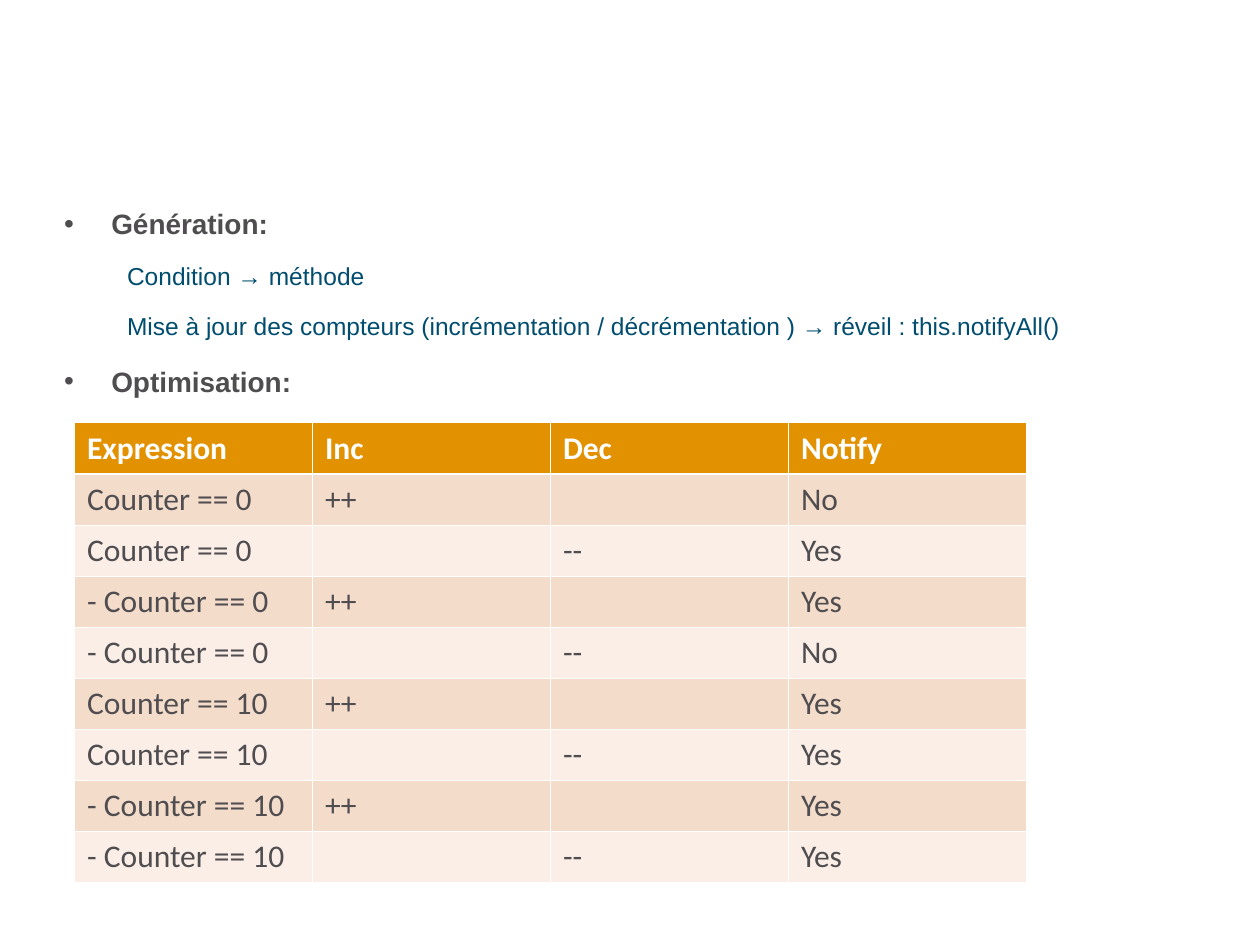
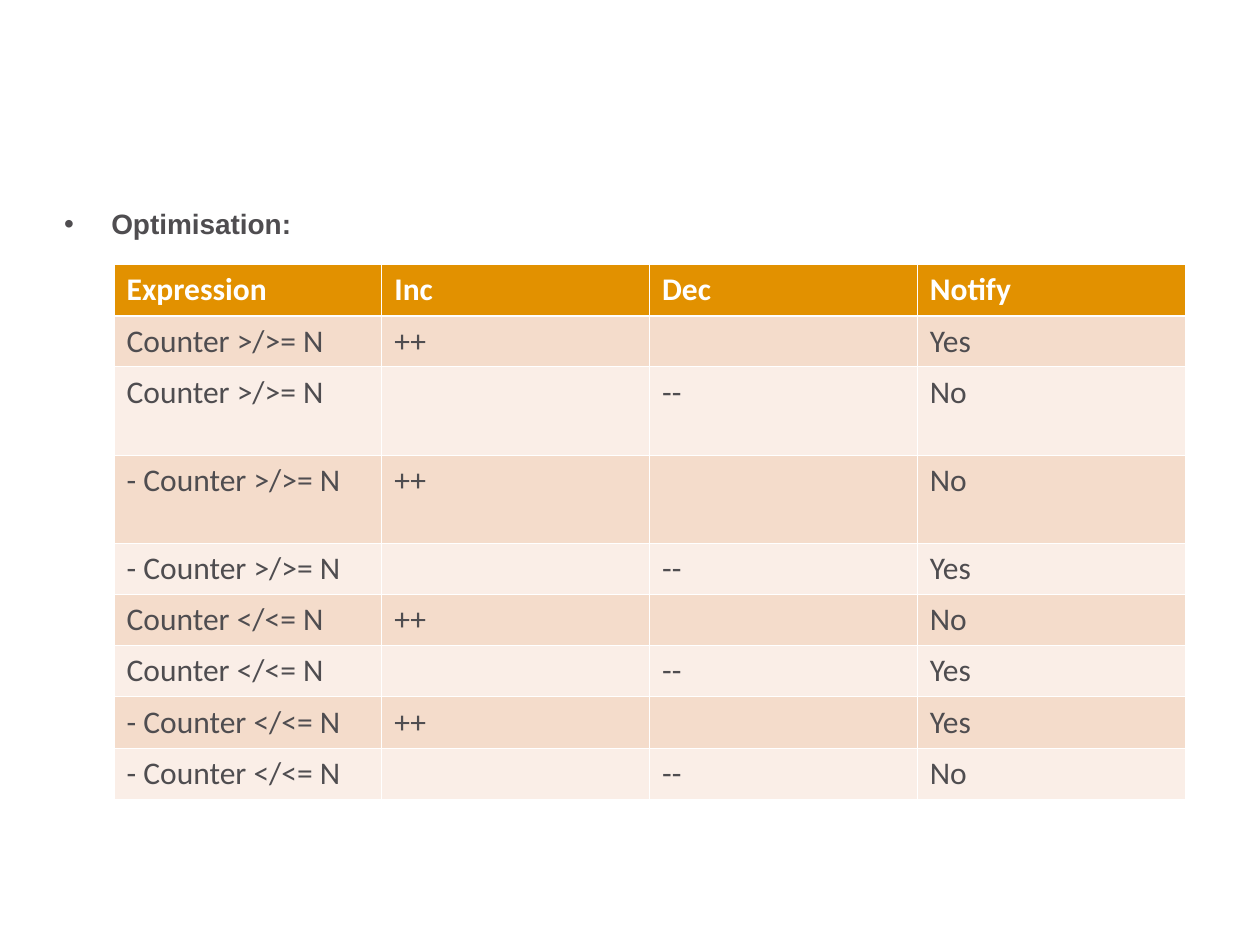
import lxml.etree
import pptx
import pptx.dml.color
import pptx.oxml.ns
import pptx.util

Pt = pptx.util.Pt
RGBColor = pptx.dml.color.RGBColor
qn = pptx.oxml.ns.qn

# Shared colours and fonts
WHITE = RGBColor(0xFF, 0xFF, 0xFF)
GREY = RGBColor(0x4F, 0x4D, 0x50)
BLUE = RGBColor(0x00, 0x4D, 0x6F)
ORANGE = RGBColor(0xE2, 0x91, 0x00)
BAND_DARK = RGBColor(0xF4, 0xDC, 0xCB)
BAND_LIGHT = RGBColor(0xFA, 0xEE, 0xE7)
TEXT_FONT = "Arial"
TABLE_FONT = "Calibri"

# Shared sizes
BODY_BOX = (29.5, 105.1, 663.1, 369.4)
ROW_HEIGHT = 29.2
TALL_ROW_HEIGHT = 50.5
THIN_BORDER = 0.45
THICK_BORDER = 1.47

HEADERS = ("Expression", "Inc", "Dec", "Notify")

# Expression, notify after an increment, notify after a decrement
EQUALITY_RULES = (
    ("Counter == 0", "No", "Yes"),
    ("- Counter == 0", "Yes", "No"),
    ("Counter == 10", "Yes", "Yes"),
    ("- Counter == 10", "Yes", "Yes"),
)
COMPARISON_RULES = (
    ("Counter >/>= N", "Yes", "No"),
    ("- Counter >/>= N", "No", "Yes"),
    ("Counter </<= N", "No", "Yes"),
    ("- Counter </<= N", "Yes", "No"),
)


def write_text(paragraph, text, *, size, color, font=TEXT_FONT, bold=False):
    run = paragraph.add_run()
    run.text = text
    run.font.name = font
    run.font.size = Pt(size)
    run.font.bold = bold
    run.font.color.rgb = color


def add_solid_color(parent, color):
    fill = lxml.etree.SubElement(parent, qn("a:solidFill"))
    lxml.etree.SubElement(fill, qn("a:srgbClr"), val=str(color))


def set_indent(paragraph, left, bullet=False):
    properties = paragraph._p.get_or_add_pPr()
    properties.set("marL", str(Pt(left)))
    properties.set("indent", str(Pt(-left if bullet else 0)))
    if bullet:
        bullet_color = lxml.etree.SubElement(properties, qn("a:buClr"))
        lxml.etree.SubElement(bullet_color, qn("a:srgbClr"), val=str(GREY))
        lxml.etree.SubElement(properties, qn("a:buFont"), typeface=TEXT_FONT)
        lxml.etree.SubElement(properties, qn("a:buChar"), char="•")
    else:
        lxml.etree.SubElement(properties, qn("a:buNone"))


def add_body(slide, box, sections):
    """Each section is a bulleted heading and its detail lines."""
    frame = slide.shapes.add_textbox(*map(Pt, box)).text_frame
    frame.word_wrap = True
    lines = []
    for heading, details in sections:
        lines.append((heading, True))
        lines += [(detail, False) for detail in details]

    for index, (text, is_heading) in enumerate(lines):
        paragraph = frame.add_paragraph() if index else frame.paragraphs[0]
        if is_heading:
            set_indent(paragraph, 27, bullet=True)
            write_text(paragraph, text, size=16, color=GREY, bold=True)
        else:
            paragraph.level = 1
            set_indent(paragraph, 36)
            write_text(paragraph, text, size=14, color=BLUE)
        paragraph.line_spacing = 1.5
        if index:
            paragraph.space_before = Pt(4 if is_heading else 3.5)


def set_borders(cell, row_index):
    widths = {
        "a:lnL": THIN_BORDER,
        "a:lnR": THIN_BORDER,
        "a:lnT": THICK_BORDER if row_index == 1 else THIN_BORDER,
        "a:lnB": THICK_BORDER if row_index == 0 else THIN_BORDER,
    }
    properties = cell._tc.get_or_add_tcPr()
    for tag, width in widths.items():
        line = lxml.etree.SubElement(properties, qn(tag), w=str(Pt(width)))
        add_solid_color(line, WHITE)


def add_rule_table(slide, left, top, width, rules, tall_rows=()):
    # One increment row and one decrement row for each expression
    rows = [HEADERS]
    for expression, after_increment, after_decrement in rules:
        rows.append((expression, "++", "", after_increment))
        rows.append((expression, "", "--", after_decrement))

    heights = [TALL_ROW_HEIGHT if index in tall_rows else ROW_HEIGHT
               for index in range(len(rows))]
    table = slide.shapes.add_table(
        len(rows), len(HEADERS), Pt(left), Pt(top), Pt(width), Pt(sum(heights))
    ).table
    for column in table.columns:
        column.width = Pt(width / len(HEADERS))

    for row_index, values in enumerate(rows):
        table.rows[row_index].height = Pt(heights[row_index])
        is_header = row_index == 0
        band = BAND_DARK if row_index % 2 else BAND_LIGHT
        for column_index, value in enumerate(values):
            cell = table.cell(row_index, column_index)
            set_borders(cell, row_index)
            cell.fill.solid()
            cell.fill.fore_color.rgb = ORANGE if is_header else band
            if value:
                write_text(cell.text_frame.paragraphs[0], value, size=18,
                           color=WHITE if is_header else GREY,
                           font=TABLE_FONT, bold=is_header)


def add_generation_slide(presentation):
    slide = presentation.slides.add_slide(presentation.slide_layouts[6])
    add_body(slide, BODY_BOX, (
        ("Génération:", (
            "Condition → méthode",
            "Mise à jour des compteurs (incrémentation / décrémentation ) "
            "→ réveil : this.notifyAll()",
        )),
        ("Optimisation:", ()),
    ))
    add_rule_table(slide, 42.6, 241.6, 544, EQUALITY_RULES)


def add_optimisation_slide(presentation):
    slide = presentation.slides.add_slide(presentation.slide_layouts[6])
    add_body(slide, BODY_BOX, (("Optimisation:", ()),))
    add_rule_table(slide, 65.2, 151.2, 612, COMPARISON_RULES, tall_rows=(2, 3))


def main():
    presentation = pptx.Presentation()
    presentation.slide_width = Pt(720)
    presentation.slide_height = Pt(540)
    add_generation_slide(presentation)
    add_optimisation_slide(presentation)
    presentation.save("out.pptx")


if __name__ == "__main__":
    main()
